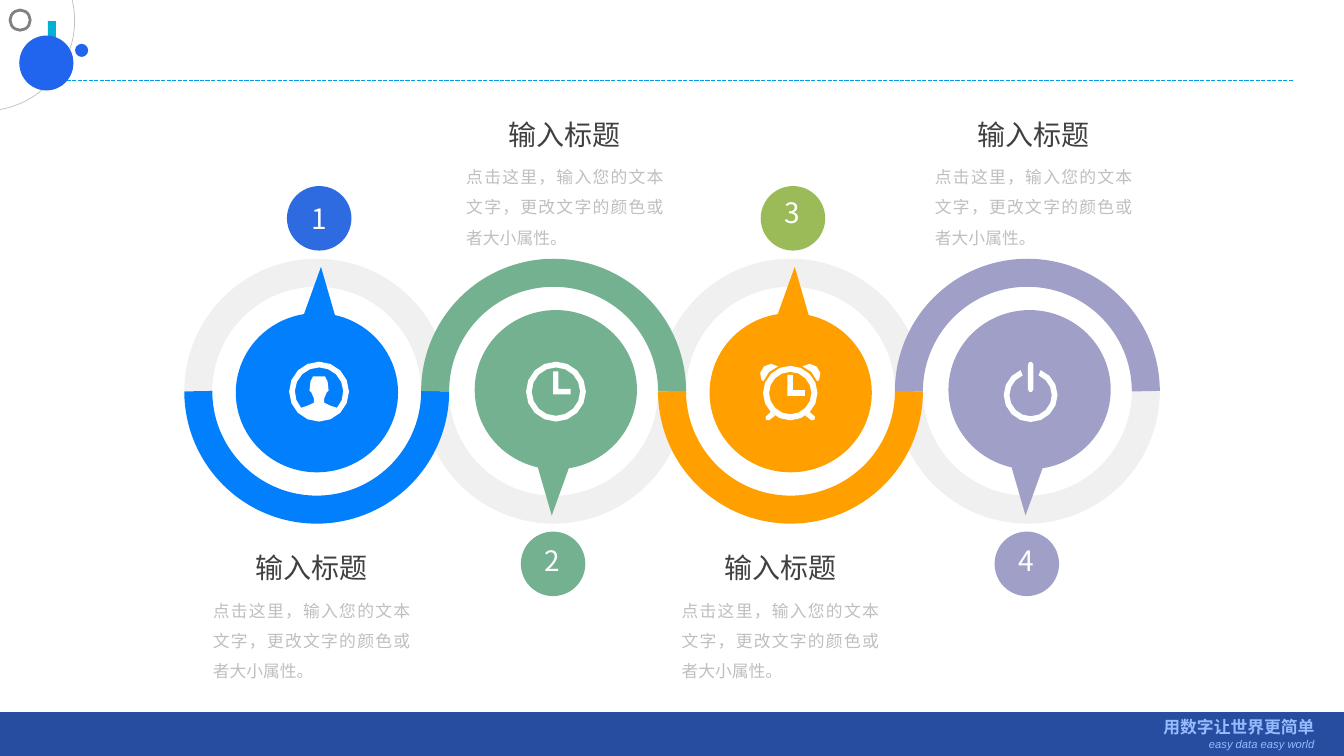
from math import cos, radians, sin
from lxml import etree
from pptx import Presentation, util as u
from pptx.dml.color import RGBColor
from pptx.enum import dml, shapes as s, text as t
from pptx.oxml import ns

CELL = u.Inches(0.1)
COLS, ROWS = 133.33, 75
RING = 23.5
SANS = "Noto Sans CJK SC"
WHITE = RGBColor(0xFF, 0xFF, 0xFF)
BLACK = RGBColor(0, 0, 0)
DARK = RGBColor(0x40, 0x40, 0x40)
GREY = RGBColor(0x80, 0x80, 0x80)
PALE = RGBColor(0xBF, 0xBF, 0xBF)
ROYAL = RGBColor(0x21, 0x64, 0xED)
NAVY = RGBColor(0x27, 0x4D, 0xA1)
SKY = RGBColor(0x98, 0xBA, 0xFF)
TEAL = RGBColor(0x00, 0xB1, 0xD4)
CYAN = RGBColor(0x00, 0x9E, 0xE7)
BLUE = RGBColor(0x02, 0x7F, 0xFD)
COBALT = RGBColor(0x2E, 0x6A, 0xE0)
GREEN = RGBColor(0x74, 0xB1, 0x91)
AMBER = RGBColor(0xFF, 0xA0, 0x00)
OLIVE = RGBColor(0x9B, 0xBB, 0x59)
LILAC = RGBColor(0x9F, 0x9F, 0xC7)
HEAD = "输入标题"
BODY = "点击这里，输入您的文本文字，更改文字的颜色或者大小属性。"


def grid(*cells):
    """Turn columns and rows into lengths."""
    return [u.Emu(round(c * CELL)) for c in cells]


def paint(shape, fill=None, line=None, width=1):
    """Set fill and line, and drop the shadow."""
    shape.shadow.inherit = False
    if fill is None:
        shape.fill.background()
    else:
        shape.fill.solid()
        shape.fill.fore_color.rgb = fill
    if line is None:
        shape.line.fill.background()
    else:
        shape.line.color.rgb = line
        shape.line.width = u.Pt(width)
    return shape


def draw(page, kind, box, *look, adj=()):
    """Add a preset shape in a grid box."""
    shape = page.shapes.add_shape(kind, *grid(*box))
    for i, value in enumerate(adj):
        shape.adjustments[i] = value
    return paint(shape, *look)


def write(par, words, size, color, font=SANS, bold=False, slant=False):
    """Add one formatted run."""
    run = par.add_run()
    run.text = words
    run.font.size = u.Pt(size)
    run.font.bold, run.font.italic = bold, slant
    run.font.color.rgb = color
    run.font.name = font
    east = etree.SubElement(run.font._element, ns.qn("a:ea"))
    east.set("typeface", font)


def label(page, box, align, inset=0):
    """Add a text box and return its first paragraph."""
    frame = page.shapes.add_textbox(*grid(*box)).text_frame
    frame.word_wrap = True
    frame.margin_left = frame.margin_right = u.Inches(2 * inset)
    frame.margin_top = frame.margin_bottom = u.Inches(inset)
    frame.paragraphs[0].alignment = align
    return frame.paragraphs[0]


def arc(r, a, b, n=16, x=0, y=0):
    """List points on an arc from angle a to angle b."""
    turns = [radians(a + (b - a) * i / n) for i in range(n + 1)]
    return [(x + r * cos(v), y + r * sin(v)) for v in turns]


def disc(r):
    """Outline a full circle."""
    return arc(r, 0, 337.5, 15)


def flip(points):
    """Mirror points left to right."""
    return [(-x, y) for x, y in reversed(points)]


def hands(top):
    """Outline the hands of a clock."""
    return [(-0.28, top), (0.25, top), (0.25, -0.28), (1.45, -0.28),
            (1.45, 0.28), (-0.28, 0.28)]


def person():
    """Outline a bust in a ring."""
    side = [(1.15, 1.4), (0.5, 1.1), (0.5, 0.7), (0.75, 0.1),
            (0.95, -0.1), (0.85, -1), (0.6, -1.5)]
    return [disc(2.97), arc(2.4, 138, 402, 12) + side + flip(side)]


def clock():
    """Outline a clock."""
    return [disc(2.97), disc(2.4), hands(-2)]


def alarm():
    """Outline an alarm clock."""
    ear = arc(1.1, -130, 30, 4, 1.9, -1.8) + [(2.65, -1.2), (2.1, -2.1), (1.2, -2.65)]
    leg = [(1.95, 1.9), (2.45, 2.35), (2.4, 2.65), (2.1, 2.7), (1.5, 2.25)]
    return [disc(2.7), disc(2.1), hands(-1.8), ear, flip(ear), leg, flip(leg)]


def power():
    """Outline a power sign."""
    bar = arc(0.26, 180, 360, 3, 0, -3.05) + arc(0.26, 0, 180, 3, 0, -0.55)
    return [arc(2.67, -68, 248, 14) + arc(2.1, 248, -68, 14), bar]


def icon(page, x, y, paths):
    """Draw closed outlines around a centre as one white shape."""
    pen = None
    for points in paths:
        spots = [grid(x + a, y + b) for a, b in points]
        if pen is None:
            pen = page.shapes.build_freeform(*spots[0])
        else:
            pen.move_to(*spots[0])
        pen.add_line_segments(spots[1:], close=True)
    paint(pen.convert_to_shape(), WHITE)


def half(page, x, y, top, color):
    """Draw half of a ring."""
    turn = (108, 0) if top else (0, 108)
    return draw(page, s.MSO_SHAPE.ARC, (x, y, RING, RING), None, color, 20, adj=turn)


def pin(page, x, y, num, up, color, tint):
    """Draw one pin and its badge around a ring."""
    drop = draw(page, s.MSO_SHAPE.OVAL_CALLOUT,
                (x + (3.72 if up else 3.92), y + (4 if up else 3.7), 16.1, 15.8),
                color, adj=(-0.025, 0.79))
    drop.rotation = 180 if up else 0
    left, top = x + (8.8 if up else 8.5), y + (-8.6 if up else 25.68)
    badge = draw(page, s.MSO_SHAPE.OVAL, (left, top, 6.4, 6.4), tint)
    mid = t.PP_ALIGN.CENTER
    if num == 1:
        badge.text_frame.vertical_anchor = t.MSO_ANCHOR.MIDDLE
        par = badge.text_frame.paragraphs[0]
        par.alignment = mid
    else:
        par = label(page, (left + 1, top + (1 if up else 1.25), 4.3, 3.8), mid, 0.05)
        par.line_spacing = u.Pt(20)
    write(par, str(num), 20, WHITE)


def note(page, x, y):
    """Write a heading and the text below it."""
    par = label(page, (x + 3.8, y, 12, 3.4), t.PP_ALIGN.CENTER)
    write(par, HEAD, 20, DARK)
    par = label(page, (x, y + 3.9, 19.6, 8.8), t.PP_ALIGN.JUSTIFY)
    par.line_spacing = 1.5
    write(par, BODY, 12, PALE)


def corner(page):
    """Draw the rule and the circles at the top left."""
    oval = s.MSO_SHAPE.OVAL
    draw(page, s.MSO_SHAPE.RECTANGLE, (4.75, 2.1, 0.8, 5.9), TEAL)
    rule = page.shapes.add_connector(s.MSO_CONNECTOR.STRAIGHT, *grid(5.5, 8, 128.3, 8))
    rule.line.color.rgb = CYAN
    rule.line.width = u.Pt(1)
    rule.line.dash_style = dml.MSO_LINE.SQUARE_DOT
    etree.SubElement(rule._element.spPr, ns.qn("a:effectLst"))
    draw(page, s.MSO_SHAPE.ARC, (-10.5, -6.9, 17.9, 17.9), None, PALE, 0.5,
         adj=(207.72, 48.6))
    for top in (3.7, 3.6):
        draw(page, oval, (2, top, 5.2, 5.2), ROYAL, ROYAL)
    draw(page, oval, (7.45, 4.35, 1.3, 1.3), ROYAL)
    draw(page, oval, (1, 1, 2, 2), None, GREY, 2)


def footer(page, y):
    """Draw the band with the motto."""
    draw(page, s.MSO_SHAPE.RECTANGLE, (0, y, COLS, ROWS - y), NAVY)
    par = label(page, (113.6, y, 17.8, 4.4), t.PP_ALIGN.RIGHT, 0.05)
    write(par, "用数字让世界更简单 ", 12, SKY, "Arial", True)
    write(par, "easy data easy world", 8, SKY, "Arial", slant=True)


def main():
    """Build the slide."""
    deck = Presentation()
    deck.slide_width, deck.slide_height = grid(COLS, ROWS)
    page = deck.slides.add_slide(deck.slide_layouts[6])
    footer(page, 70.65)
    corner(page)
    steps = [(BLUE, COBALT), (GREEN, GREEN), (AMBER, OLIVE), (LILAC, LILAC)]
    icons = [(31.65, 38.85, person()), (55.15, 38.85, clock()),
             (78.4, 39, alarm()), (102.25, 39.2, power())]
    spots = [(19.67 + RING * i, 27.06, i % 2 == 0) for i in range(len(steps))]
    for x, y, up in spots:
        ring = half(page, x, y, up, BLACK)
        tone = ring._element.spPr.xpath("./a:ln//a:srgbClr")[0]
        etree.SubElement(tone, ns.qn("a:alpha")).set("val", "6000")
    for (x, y, up), (color, _) in zip(spots, steps):
        half(page, x, y, not up, color)
    for num, (spot, look) in enumerate(zip(spots, steps), 1):
        pin(page, *spot[:2], num, spot[2], *look)
    for spot in icons:
        icon(page, *spot)
    for left in (0, 46.5):
        note(page, 21.12 + left, 54.65)
        note(page, 46.25 + left, 11.65)
    deck.save("out.pptx")


if __name__ == "__main__":
    main()
